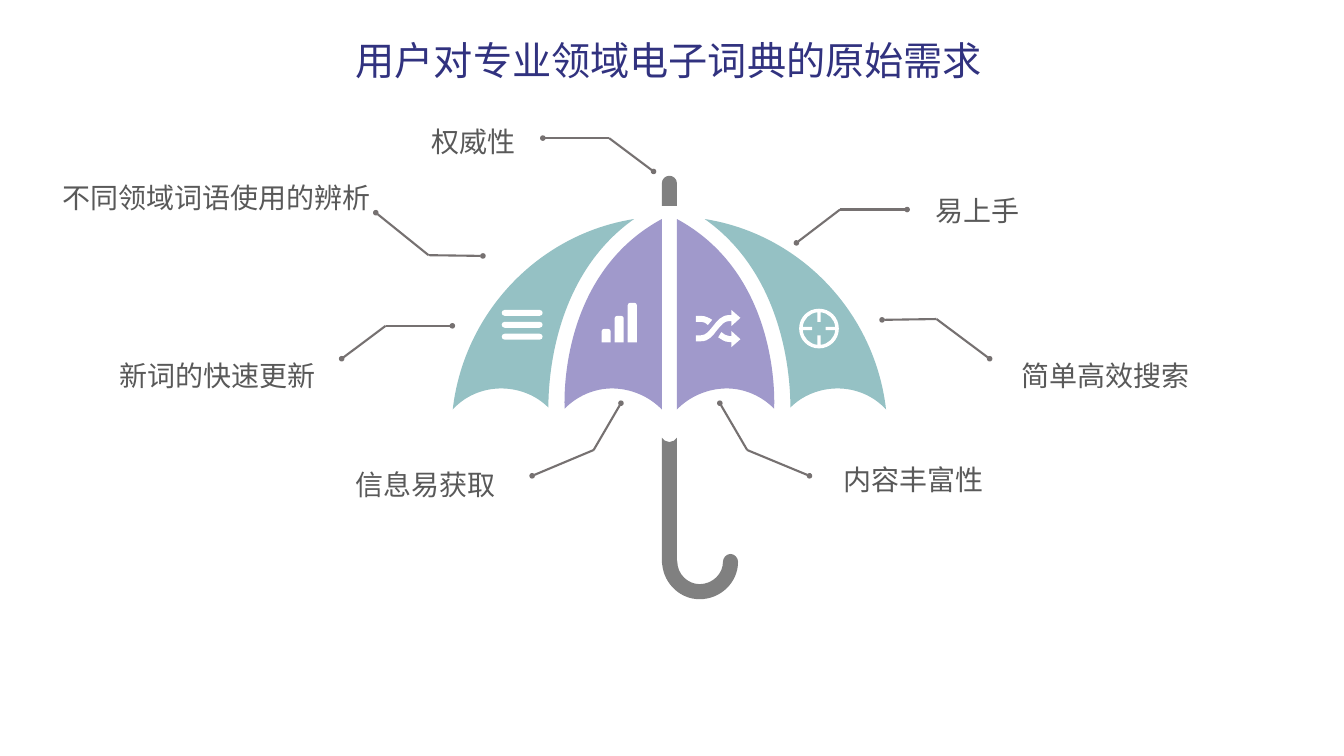
from lxml.etree import SubElement
from pptx import Presentation
from pptx.dml.color import RGBColor
from pptx.enum.shapes import MSO_CONNECTOR as LINE
from pptx.enum.text import MSO_ANCHOR as ANCHOR, PP_ALIGN as ALIGN
from pptx.oxml.ns import qn
from pptx.util import Cm, Pt

NAVY = RGBColor(0x31, 0x32, 0x7F)
DARK_GREY = RGBColor(0x59, 0x59, 0x59)
LEADER_GREY = RGBColor(0x76, 0x71, 0x71)
HANDLE_GREY = RGBColor(0x80, 0x80, 0x80)
TEAL = RGBColor(0x95, 0xC1, 0xC4)
VIOLET = RGBColor(0xA0, 0x99, 0xCB)
WHITE = RGBColor(0xFF, 0xFF, 0xFF)
HAN_FONT = "Noto Sans CJK SC"

OUTER_PANEL = [(-4.24, 5.36), (-4.72, 5.36, -5.16, 5.56, -5.46, 5.89),
               (-5.18, 3.45, -3.3, 1.47, -0.89, 1.09),
               (-2.9, 2.51, -3.05, 5.08, -3.05, 5.84),
               (-3.35, 5.54, -3.78, 5.36, -4.24, 5.36)]
INNER_PANEL = [(-1.45, 5.36), (-1.9, 5.36, -2.34, 5.56, -2.64, 5.87),
               (-2.67, 5.13, -2.54, 2.36, -0.19, 1.09), (-0.19, 5.89),
               (-0.51, 5.56, -0.97, 5.36, -1.45, 5.36)]
HANDLE = [(0, 6.71), (-0.08, 6.71, -0.15, 6.66, -0.19, 6.6), (-0.19, 9.73),
          (-0.19, 9.75, -0.18, 9.78, -0.18, 9.8),
          (-0.13, 10.29, 0.28, 10.67, 0.76, 10.67),
          (1.3, 10.67, 1.73, 10.24, 1.73, 9.73),
          (1.73, 9.63, 1.65, 9.53, 1.54, 9.53),
          (1.43, 9.53, 1.35, 9.63, 1.35, 9.73),
          (1.35, 10.03, 1.09, 10.29, 0.76, 10.29),
          (0.46, 10.29, 0.2, 10.03, 0.2, 9.73), (0.19, 9.68),
          (0.19, 6.6), (0.15, 6.66, 0.08, 6.71, 0, 6.71)]
TIP = [(0.19, 0.76), (0.19, 0.19), (0.19, 0.08, 0.1, 0, 0, 0),
       (-0.1, 0, -0.19, 0.08, -0.19, 0.19), (-0.19, 0.76)]
SHUFFLE = [
    [(0.89, 0.66), (0.84, 0.66), (0.76, 0.66, 0.71, 0.61, 0.64, 0.56),
     (0.56, 0.69), (0.64, 0.74, 0.71, 0.81, 0.84, 0.81),
     (0.89, 0.81), (0.89, 0.94), (1.12, 0.74), (0.89, 0.53)],
    [(0.3, 0.38), (0.41, 0.25), (0.33, 0.2, 0.23, 0.15, 0.13, 0.15),
     (0, 0.15), (0, 0.3), (0.13, 0.3), (0.2, 0.3, 0.25, 0.33, 0.3, 0.38)],
    [(0.84, 0.28), (0.89, 0.28), (0.89, 0.41), (1.12, 0.2), (0.89, 0),
     (0.89, 0.13), (0.84, 0.13), (0.64, 0.13, 0.53, 0.28, 0.43, 0.41),
     (0.33, 0.53, 0.25, 0.64, 0.13, 0.64), (0, 0.64), (0, 0.79),
     (0.13, 0.79), (0.33, 0.79, 0.43, 0.64, 0.53, 0.51),
     (0.64, 0.38, 0.71, 0.28, 0.84, 0.28)]]
TARGET = [
    [(0.04, 0.41), (0.04, 0.17), (-0.04, 0.17), (-0.04, 0.41),
     (-0.24, 0.39, -0.39, 0.24, -0.41, 0.04), (-0.17, 0.04), (-0.17, -0.04),
     (-0.41, -0.04), (-0.39, -0.24, -0.24, -0.39, -0.04, -0.41), (-0.04, -0.17),
     (0.04, -0.17), (0.04, -0.41), (0.24, -0.39, 0.39, -0.24, 0.41, -0.04),
     (0.17, -0.04), (0.17, 0.04), (0.41, 0.04),
     (0.39, 0.24, 0.24, 0.39, 0.04, 0.41)],
    [(0, -0.5), (-0.28, -0.5, -0.5, -0.28, -0.5, 0), (-0.5, 0.28, -0.28, 0.5, 0, 0.5),
     (0.28, 0.5, 0.5, 0.28, 0.5, 0), (0.5, -0.28, 0.28, -0.5, 0, -0.5)]]

CALLOUTS = [
    ("易上手", (23.32, 4.75, 2.64), ALIGN.LEFT, HAN_FONT,
     [(-3.25, 1.37), (-2.15, 0.53), (-0.46, 0.53)]),
    ("内容丰富性", (21.01, 11.53, 4.06), ALIGN.LEFT, "Calibri",
     [(-2.87, -1.37), (-2.18, -0.19), (-0.61, 0.46)]),
    ("信息易获取", (8.68, 11.66, 4.06), ALIGN.RIGHT, HAN_FONT,
     [(6.97, -1.5), (6.28, -0.32), (4.73, 0.33)]),
    ("权威性", (10.6, 3.02, 2.64), ALIGN.RIGHT, HAN_FONT,
     [(5.87, 1.3), (4.75, 0.46), (3.08, 0.46)]),
    ("新词的快速更新", (2.7, 8.92, 5.51), ALIGN.RIGHT, HAN_FONT,
     [(5.91, 0.12), (7.02, -0.71), (8.7, -0.71)]),
    ("简单高效搜索", (25.49, 8.92, 4.78), ALIGN.LEFT, HAN_FONT,
     [(-3.26, -0.86), (-1.89, -0.88), (-0.55, 0.12)]),
    ("不同领域词语使用的辨析", (1.32, 4.42, 8.36), ALIGN.LEFT, HAN_FONT,
     [(10.85, 2.03), (9.48, 2.01), (8.15, 0.94)])]


def write(frame, text, size, color, align, font=HAN_FONT, wrap=False):
    frame.word_wrap = wrap
    frame.vertical_anchor = ANCHOR.TOP
    paragraph = frame.paragraphs[0]
    paragraph.alignment = align
    run = paragraph.add_run()
    run.text = text
    run.font.size = Pt(size)
    run.font.name = font
    run.font.color.rgb = color
    SubElement(run.font._element, qn("a:ea"), typeface=HAN_FONT)


def paint(shape, color):
    shape.shadow.inherit = False
    shape.fill.solid()
    shape.fill.fore_color.rgb = color
    shape.line.fill.background()


def bend_segments(shape, segments):
    steps = list(shape._element.iter(qn("a:lnTo")))
    for step, segment in zip(steps, segments):
        if len(segment) == 2:
            continue
        step.tag = qn("a:cubicBezTo")
        step.remove(step[0])
        for x, y in zip(segment[::2], segment[1::2]):
            SubElement(step, qn("a:pt"), x=str(x - shape.left), y=str(y - shape.top))


def draw_outline(shapes, outlines, left, top, color, flip=1):
    contours = [[[Cm(top + v) if index % 2 else Cm(left + flip * v)
                  for index, v in enumerate(segment)] for segment in outline]
                for outline in outlines]
    builder = shapes.build_freeform(*contours[0][0], scale=1.0)
    for index, contour in enumerate(contours):
        if index:
            builder.move_to(*contour[0])
        builder.add_line_segments([segment[-2:] for segment in contour[1:]], close=True)
    shape = builder.convert_to_shape()
    bend_segments(shape, [segment for contour in contours for segment in contour[1:]])
    paint(shape, color)


def menu_row(y):
    return [(0.08, y), (0.96, y), (1.06, y, 1.06, y + 0.15, 0.96, y + 0.15),
            (0.08, y + 0.15), (-0.02, y + 0.15, -0.02, y, 0.08, y)]


def signal_bar(x, height):
    top = 1 - height
    return [(x, 1), (x, top + 0.06), (x, top + 0.03, x + 0.03, top, x + 0.06, top),
            (x + 0.17, top), (x + 0.2, top, x + 0.23, top + 0.03, x + 0.23, top + 0.06),
            (x + 0.23, 1)]


def draw_icons(shapes, axis, top):
    menu = [menu_row(0.3 * row) for row in range(3)]
    signal = [signal_bar(0.33 * step, 0.34 + 0.33 * step) for step in range(3)]
    for icon, x, y in ((menu, -4.23, 3.38), (signal, -1.71, 3.2),
                       (SHUFFLE, 0.67, 3.38), (TARGET, 3.77, 3.85)):
        draw_outline(shapes, icon, axis + x, top + y, WHITE)


def draw_umbrella(shapes, axis, top):
    for panel, color, flip in ((OUTER_PANEL, TEAL, 1), (INNER_PANEL, VIOLET, 1),
                               (INNER_PANEL, VIOLET, -1), (OUTER_PANEL, TEAL, -1)):
        draw_outline(shapes, [panel], axis, top, color, flip)
    for part in (HANDLE, TIP):
        draw_outline(shapes, [part], axis, top, HANDLE_GREY)
    draw_icons(shapes, axis, top)


def draw_leader(shapes, start, end, dotted_end):
    leader = shapes.add_connector(LINE.STRAIGHT, *(Cm(v) for v in start + end))
    leader.line.color.rgb = LEADER_GREY
    leader.line.width = Pt(1.5)
    SubElement(leader.line._get_or_add_ln(), qn(dotted_end), type="oval", w="sm", len="sm")
    SubElement(leader._element.spPr, qn("a:effectLst"))


def draw_callout(shapes, text, box, align, font, route):
    left, top, width = box
    label = shapes.add_textbox(Cm(left), Cm(top), Cm(width), Cm(1.12))
    write(label.text_frame, text, 20, DARK_GREY, align, font)
    near, elbow, far = [(left + x, top + y) for x, y in route]
    draw_leader(shapes, near, elbow, "a:headEnd")
    draw_leader(shapes, elbow, far, "a:tailEnd")


def place_title(title, left, top, width, height):
    title.left, title.top, title.width, title.height = map(Cm, (left, top, width, height))
    write(title.text_frame, "用户对专业领域电子词典的原始需求", 28, NAVY, ALIGN.CENTER, wrap=True)


deck = Presentation()
deck.slide_width, deck.slide_height = Cm(33.87), Cm(19.05)
slide = deck.slides.add_slide(deck.slide_layouts[5])
place_title(slide.shapes.title, 4.27, 0.79, 25.17, 1.45)
draw_umbrella(slide.shapes, 16.87, 4.43)
for callout in CALLOUTS:
    draw_callout(slide.shapes, *callout)
deck.save("out.pptx")
